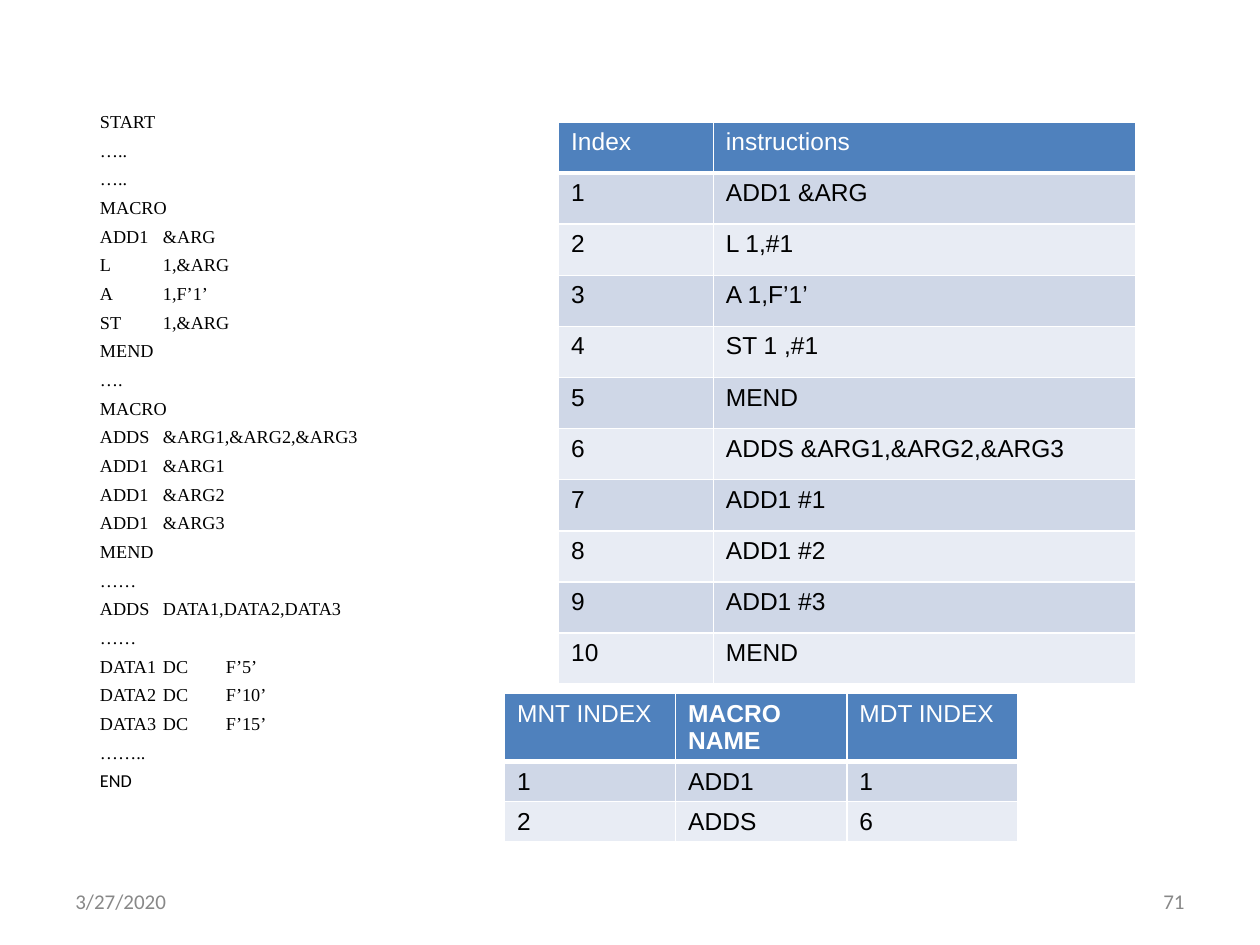
from lxml import etree
from pptx import Presentation
from pptx import util as u
from pptx.dml.color import RGBColor
from pptx.enum import text
from pptx.oxml.ns import qn

SOURCE_LINES = [
    "START", "…..", "…..",
    "MACRO", "ADD1\t&ARG", "L\t1,&ARG", "A\t1,F’1’", "ST\t1,&ARG", "MEND",
    "….",
    "MACRO", "ADDS\t&ARG1,&ARG2,&ARG3", "ADD1\t&ARG1", "ADD1\t&ARG2", "ADD1\t&ARG3", "MEND",
    "……", "ADDS\tDATA1,DATA2,DATA3", "……",
    "DATA1\tDC\tF’5’", "DATA2\tDC\tF’10’", "DATA3\tDC\tF’15’",
    "……..", "END",
]
MACRO_STOPS, DATA_STOPS = (1.7,), (1.35, 2.05)

INSTRUCTIONS = ["ADD1 &ARG", "L 1,#1", "A 1,F’1’", "ST 1 ,#1", "MEND",
                "ADDS &ARG1,&ARG2,&ARG3", "ADD1 #1", "ADD1 #2", "ADD1 #3", "MEND"]
DEFINITION_TABLE = [("Index", "instructions")] + [
    (str(index), instruction) for index, instruction in enumerate(INSTRUCTIONS, 1)]
NAME_TABLE = [("MNT INDEX", "MACRO NAME", "MDT INDEX"), ("1", "ADD1", "1"), ("2", "ADDS", "6")]
BOLD_HEADING = "MACRO NAME"

FOOTERS = [("3/27/2020", 1.27, text.PP_ALIGN.LEFT), ("71", 18.21, text.PP_ALIGN.RIGHT)]


def colour(value):
    return RGBColor.from_string(value)


def style(paragraph, size, face, shade, bold=False):
    for run in paragraph.runs:
        run.font.size, run.font.name, run.font.bold = u.Pt(size), face, bold
        run.font.color.rgb = colour(shade)


def lay_out_line(paragraph, stops):
    properties = paragraph._p.get_or_add_pPr()
    properties.set("marL", str(u.Cm(0.08)))
    properties.set("indent", "0")
    etree.SubElement(properties, qn("a:buNone"))
    tabs = etree.SubElement(properties, qn("a:tabLst"))
    for stop in stops:
        etree.SubElement(tabs, qn("a:tab"), pos=str(u.Cm(stop)), algn="l")


def add_source(body):
    body.left, body.top, body.width, body.height = map(u.Cm, (1.68, 2.18, 22.45, 15.8))
    frame = body.text_frame
    frame.text = "\n".join(SOURCE_LINES)
    frame.auto_size = text.MSO_AUTO_SIZE.NONE
    for number, paragraph in enumerate(frame.paragraphs):
        lay_out_line(paragraph, DATA_STOPS if "DATA" in paragraph.text else MACRO_STOPS)
        paragraph.line_spacing = 0.8
        paragraph.space_before = u.Pt(6.4 if number else 0)
        style(paragraph, 10.4, "Calibri" if paragraph.text == "END" else "Times New Roman", "000000")


def add_borders(cell, bottom):
    properties = cell._tc.get_or_add_tcPr()
    for side, width in (("L", 1), ("R", 1), ("T", 1), ("B", bottom)):
        line = etree.SubElement(properties, qn(f"a:ln{side}"), w=str(u.Pt(width)))
        fill = etree.SubElement(line, qn("a:solidFill"))
        etree.SubElement(fill, qn("a:srgbClr"), val="FFFFFF")


def add_grid(slide, rows, left, top, widths, heading_height, row_height):
    heights = [heading_height] + [row_height] * (len(rows) - 1)
    table = slide.shapes.add_table(len(rows), len(widths), u.Cm(left), u.Cm(top),
                                   u.Cm(sum(widths)), u.Cm(sum(heights))).table
    for column, width in zip(table.columns, widths):
        column.width = u.Cm(width)
    for r, row in enumerate(rows):
        table.rows[r].height = u.Cm(heights[r])
        shade = "4F81BD" if r == 0 else ("E8ECF4", "CFD7E7")[r % 2]
        for c, content in enumerate(row):
            cell = table.cell(r, c)
            cell.text = content
            add_borders(cell, 1 if r else 3)
            cell.fill.solid()
            cell.fill.fore_color.rgb = colour(shade)
            style(cell.text_frame.paragraphs[0], 14, "Arial",
                  "000000" if r else "FFFFFF", content == BOLD_HEADING)


def add_footer(slide, content, left, alignment):
    footer = slide.shapes.add_textbox(u.Cm(left), u.Cm(17.65), u.Cm(5.92), u.Cm(1.02)).text_frame
    footer.word_wrap = True
    footer.vertical_anchor = text.MSO_ANCHOR.MIDDLE
    footer.text = content
    footer.paragraphs[0].alignment = alignment
    style(footer.paragraphs[0], 12, "Calibri", "888888")


def main():
    deck = Presentation()
    deck.slide_width, deck.slide_height = u.Cm(25.4), u.Cm(19.05)
    slide = deck.slides.add_slide(deck.slide_layouts[1])
    title = slide.shapes.title._element
    title.getparent().remove(title)
    add_source(slide.placeholders[1])
    add_grid(slide, DEFINITION_TABLE, 11.26, 2.46, (3.12, 8.51), 1.03, 1.03)
    add_grid(slide, NAME_TABLE, 10.17, 13.98, (3.45,) * 3, 1.37, 0.78)
    for footer in FOOTERS:
        add_footer(slide, *footer)
    deck.save("out.pptx")


if __name__ == "__main__":
    main()
